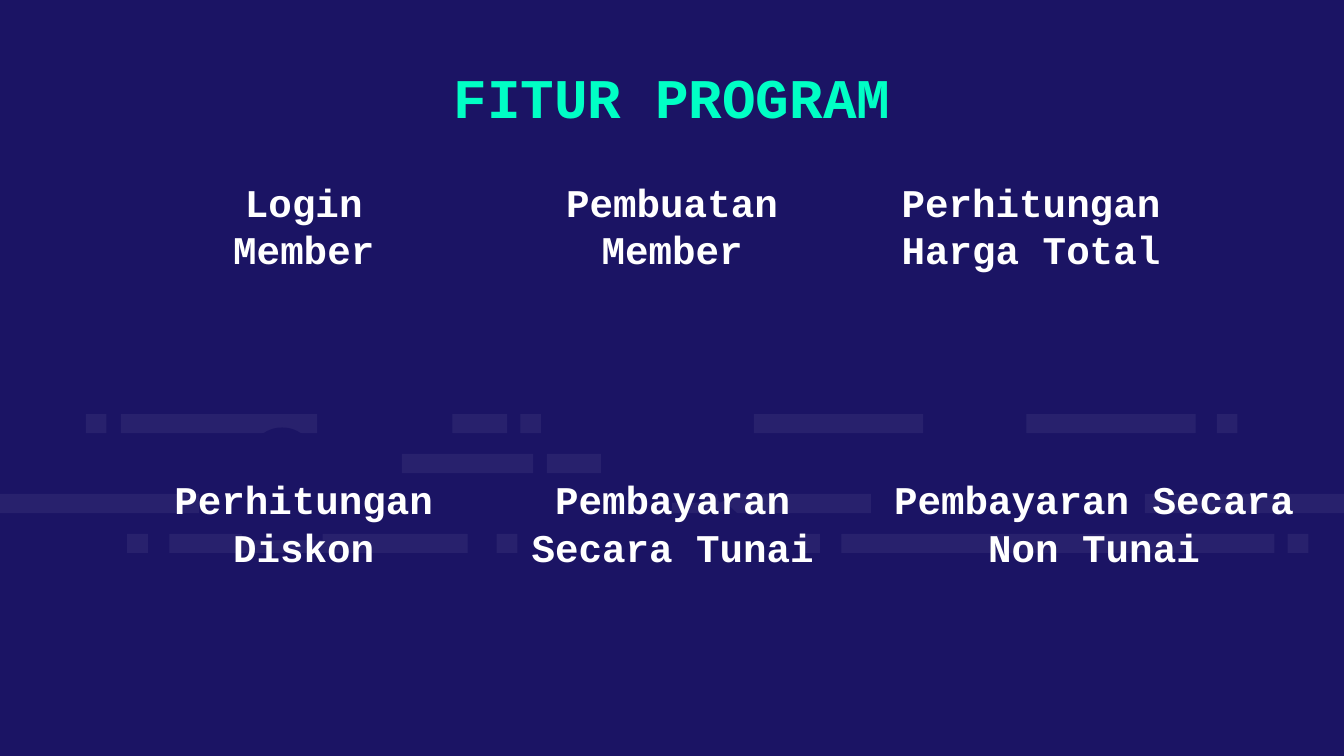
from math import cos, radians, sin

from lxml.etree import SubElement
from pptx import Presentation
from pptx.dml.color import RGBColor
from pptx.enum.shapes import MSO_SHAPE
from pptx.enum.text import MSO_ANCHOR, PP_ALIGN
from pptx.oxml.ns import qn
from pptx.util import Pt

FONT = "Courier New"
COLORS = {"navy": "1B1464", "mint": "00FFC5", "white": "FFFFFF"}

TITLE = "FITUR PROGRAM"
TOP_FEATURES = [
    ("Login Member", PP_ALIGN.CENTER),
    ("Pembuatan Member", PP_ALIGN.CENTER),
    ("Perhitungan Harga Total", PP_ALIGN.LEFT),
]
BOTTOM_FEATURES = [  # text, left, width
    ("Perhitungan Diskon", 44.6, 236.2),
    ("Pembayaran Secara Tunai", 252, 216.7),
    ("Pembayaran Secara Non Tunai", 468, 236.2),
]

# Background dashes: row top -> (left, width) of each dash
DASH_HEIGHT = 10.3
DASH_ROWS = {
    221.8: [(46, 11), (64.8, 105.1), (242.4, 29.3), (278.8, 11),
            (403.9, 90.7), (549.8, 90.7), (651.9, 11)],
    243.2: [(215.3, 70.4), (293, 29)],
    264.6: [(0, 106.6), (360, 106.6), (613.4, 106.6)],
    286: [(68.1, 11.2), (90.7, 159.8), (266, 11.2),
          (428.1, 11.2), (450.7, 232), (689.8, 11.2)],
}


def arc(cx, cy, rx, ry, start, end, steps=24):
    angles = [radians(start + (end - start) * i / steps) for i in range(steps + 1)]
    return [(cx + rx * cos(a), cy + ry * sin(a)) for a in angles]


# Icon outlines
PADLOCK = [
    [(129.6, 252.7), (134.6, 252.7),
     *arc(151.2, 244.1, 16.6, 15.1, 180, 360),
     (167.8, 245.5), (158.4, 245.5),
     *arc(151.2, 244.1, 7.2, 5.8, 360, 180),
     (144, 252.7), (162, 252.7), (162, 256.3), (164.2, 256.3),
     (164.2, 260.6), (168.5, 260.6), (168.5, 265.7), (172.8, 265.7),
     (172.8, 289.4), (129.6, 289.4)],
    [*arc(151.2, 274.3, 4, 4, 120, 420), (153.4, 283), (149, 283)],
]
WINDOW = [[(324.7, 229.7), (388.8, 229.7), (388.8, 267.8), (385.9, 269.3),
           (384.5, 267.8), (384.5, 244.1), (328.3, 244.1), (328.3, 277.9),
           (374.4, 277.9), (373.7, 282.2), (324.7, 282.2)]]
CROSS = [[(381.6, 271.4), (385.9, 274.3), (391, 271.4), (394.9, 275),
          (391.7, 280.1), (394.9, 285.1), (391, 288.7), (385.9, 285.8),
          (381.6, 288.7), (377.3, 285.1), (380.9, 280.1), (377.3, 275)]]

prs = Presentation()
prs.slide_width, prs.slide_height = Pt(720), Pt(405)
s = prs.slides.add_slide(prs.slide_layouts[6])
s.background.fill.solid()
s.background.fill.fore_color.rgb = RGBColor.from_string(COLORS["navy"])


def paint(sp, color, alpha=None):
    sp.shadow.inherit = False
    sp.fill.solid()
    sp.fill.fore_color.rgb = RGBColor.from_string(COLORS[color])
    sp.line.fill.background()
    if alpha is not None:
        clr = sp.fill._xPr.find(".//" + qn("a:srgbClr"))
        SubElement(clr, qn("a:alpha")).set("val", str(alpha * 1000))


def add_outline(contours, color):
    fb = None
    for points in contours:
        start, *rest = [(x * 100, y * 100) for x, y in points]
        if fb is None:
            fb = s.shapes.build_freeform(*start, scale=Pt(1) / 100)
        else:
            fb.move_to(*start)
        fb.add_line_segments(rest, close=True)
    paint(fb.convert_to_shape(), color)


def add_text(text, x, y, w, h, size=21, color="white", align=PP_ALIGN.CENTER,
             anchor=MSO_ANCHOR.TOP, bottom=7.2):
    tf = s.shapes.add_textbox(Pt(x), Pt(y), Pt(w), Pt(h)).text_frame
    tf.word_wrap = True
    tf.vertical_anchor = anchor
    tf.margin_left = tf.margin_right = tf.margin_top = Pt(7.2)
    tf.margin_bottom = Pt(bottom)
    p = tf.paragraphs[0]
    p.alignment = align
    r = p.add_run()
    r.text = text
    r.font.name, r.font.size, r.font.bold = FONT, Pt(size), True
    r.font.color.rgb = RGBColor.from_string(COLORS[color])


# Background dashes
for top, dashes in DASH_ROWS.items():
    for left, width in dashes:
        sp = s.shapes.add_shape(MSO_SHAPE.RECTANGLE, Pt(left), Pt(top),
                                Pt(width), Pt(DASH_HEIGHT))
        paint(sp, "white", alpha=6)

# Title and top row
add_text(TITLE, 100.8, 26.6, 518.4, 52.6, size=30, color="mint")
for i, (text, align) in enumerate(TOP_FEATURES):
    add_text(text, 81.4 + i * 197.3, 112.3, 162.7, 33.8, align=align,
             anchor=MSO_ANCHOR.BOTTOM, bottom=0)

# Icons cut out of the dashes
for icon in (PADLOCK, WINDOW, CROSS):
    add_outline(icon, "navy")
list_line = s.shapes.add_shape(MSO_SHAPE.ROUNDED_RECTANGLE, Pt(348.5), Pt(263.5),
                               Pt(30), Pt(5.8))
list_line.adjustments[0] = 0.5
paint(list_line, "navy")

# Bottom row
for text, left, width in BOTTOM_FEATURES:
    add_text(text, left, 247.7, width, 65.5)

prs.save("out.pptx")
